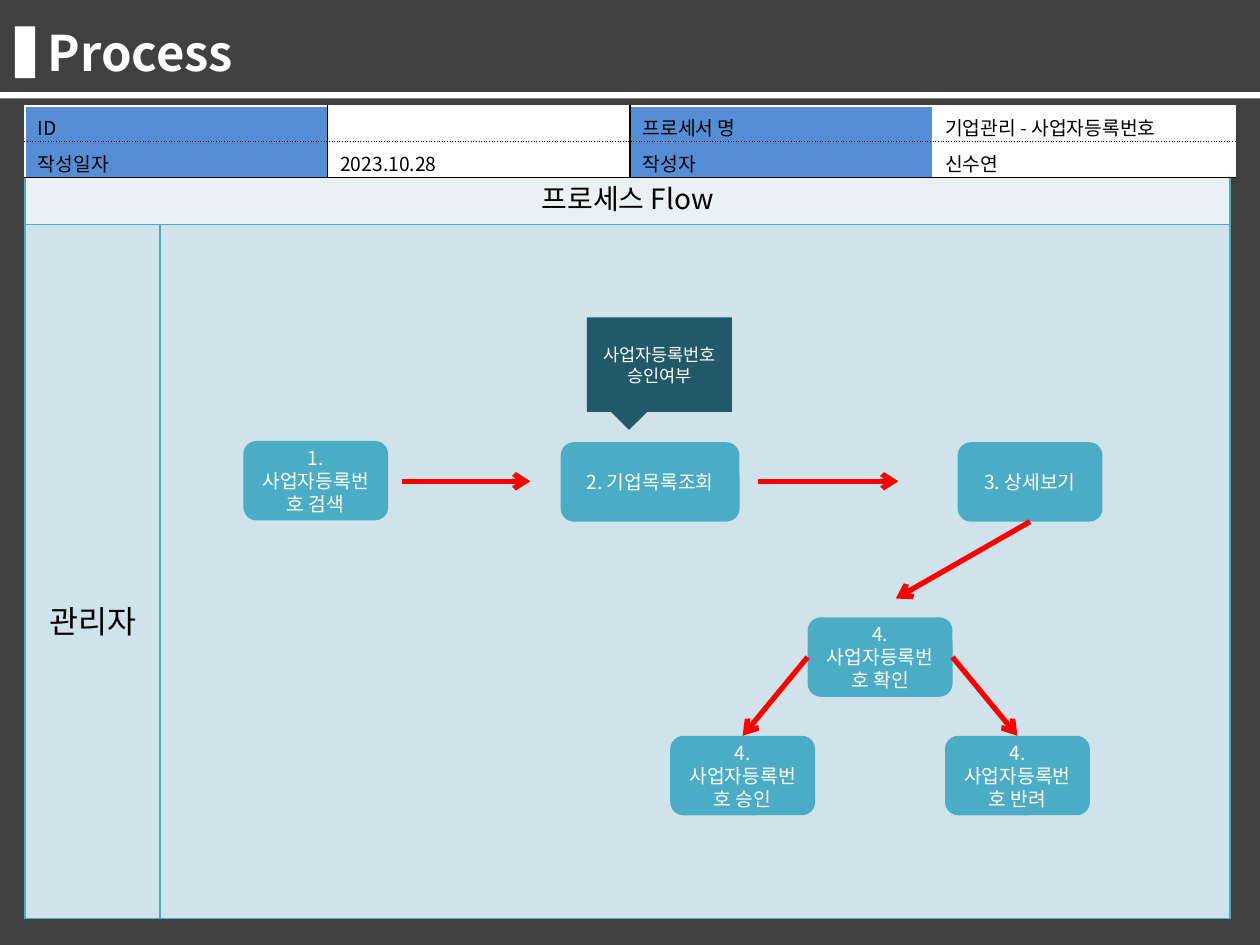
"""Build the business number process slide."""
from dataclasses import dataclass

import pptx
import pptx.dml.color
import pptx.enum.shapes
import pptx.enum.text
import pptx.oxml
import pptx.oxml.ns
import pptx.util
from lxml import etree

Pt = pptx.util.Pt
RGB = pptx.dml.color.RGBColor.from_string
qn = pptx.oxml.ns.qn
Shape = pptx.enum.shapes.MSO_SHAPE
Align = pptx.enum.text.PP_ALIGN
Anchor = pptx.enum.text.MSO_ANCHOR


@dataclass(frozen=True)
class Theme:
    font: str = "Noto Sans CJK KR"
    dark: str = "404040"
    white: str = "FFFFFF"
    black: str = "000000"
    teal: str = "4BACC6"
    deep: str = "215968"
    pale: str = "E9F1F5"
    light: str = "D0E3EA"
    blue: str = "558ED5"
    red: str = "FF0000"
    title: int = 28
    role: int = 18
    head: int = 16
    body: int = 11
    note: int = 10


def write(frame, text, font, size, color, bold=False, align=Align.LEFT):
    para = frame.paragraphs[0]
    para.alignment = align
    run = para.add_run()
    run.text = text
    run.font.name = font
    run.font.size = Pt(size)
    run.font.bold = bold
    run.font.color.rgb = RGB(color)
    props = run.font._element
    etree.SubElement(props, qn("a:ea"), typeface=font)


class Deck:
    def __init__(self, theme):
        self.theme = theme
        self.show = pptx.Presentation()
        self.show.slide_width, self.show.slide_height = Pt(720), Pt(540)
        self.slide = self.show.slides.add_slide(self.show.slide_layouts[5])

    def title(self, text, *box):
        shape = self.slide.shapes.title
        shape.left, shape.top, shape.width, shape.height = map(Pt, box)
        frame = shape.text_frame
        frame.auto_size = pptx.enum.text.MSO_AUTO_SIZE.NONE
        frame.vertical_anchor = Anchor.MIDDLE
        write(frame, text, self.theme.font, self.theme.title,
              self.theme.white, bold=True)
        return shape

    def block(self, fill, *box, kind=Shape.RECTANGLE, text="", size=None):
        shape = self.slide.shapes.add_shape(kind, *map(Pt, box))
        shape.shadow.inherit = False
        shape.fill.solid()
        shape.fill.fore_color.rgb = RGB(fill)
        shape.line.fill.background()
        if text:
            frame = shape.text_frame
            frame.word_wrap = True
            frame.vertical_anchor = Anchor.MIDDLE
            write(frame, text, self.theme.font, size, self.theme.white,
                  align=Align.CENTER)
        return shape

    def step(self, text, left, top, width=82.8):
        return self.block(self.theme.teal, left, top, width, 45.4,
                          kind=Shape.ROUNDED_RECTANGLE, text=text,
                          size=self.theme.body)

    def arrow(self, start=(0, 0), end=(0, 0), tail=None, head=None):
        line = self.slide.shapes.add_connector(
            pptx.enum.shapes.MSO_CONNECTOR.STRAIGHT, *map(Pt, start + end))
        if tail:
            line.begin_connect(*tail)
        if head:
            line.end_connect(*head)
        line.line.width = Pt(3)
        line.line.color.rgb = RGB(self.theme.red)
        props = line.element.spPr
        etree.SubElement(props.find(qn("a:ln")), qn("a:tailEnd"), type="arrow")
        etree.SubElement(props, qn("a:effectLst"))

    def grid(self, left, top, cols, rows):
        shape = self.slide.shapes.add_table(
            len(rows), len(cols), Pt(left), Pt(top),
            Pt(sum(cols)), Pt(sum(rows)))
        table = shape.table
        table.first_row = table.horz_banding = False
        for col, width in zip(table.columns, cols):
            col.width = Pt(width)
        for row, height in zip(table.rows, rows):
            row.height = Pt(height)
        return table

    def cell(self, cell, fill, edges, text="", size=None, align=Align.LEFT,
             above=3.6, below=3.6):
        props = cell._tc.get_or_add_tcPr()
        for side, (color, dash) in zip("LRTB", edges):
            line = etree.SubElement(props, qn("a:ln" + side),
                                    w=str(Pt(1)))
            paint = etree.SubElement(line, qn("a:solidFill"))
            etree.SubElement(paint, qn("a:srgbClr"), val=color)
            etree.SubElement(line, qn("a:prstDash"), val=dash)
        cell.fill.solid()
        cell.fill.fore_color.rgb = RGB(fill)
        cell.margin_top, cell.margin_bottom = Pt(above), Pt(below)
        if text:
            write(cell.text_frame, text, self.theme.font, size,
                  self.theme.black, align=align)
        else:
            cell.text_frame.paragraphs[0].font.size = Pt(self.theme.body)


def flow(deck):
    theme = deck.theme
    table = deck.grid(14.4, 97.9, (77, 611.6), (30.2, 396.8))
    table.cell(0, 0).merge(table.cell(0, 1))
    edges = [(theme.teal, "solid")] * 4
    for col in range(2):
        deck.cell(table.cell(0, col), theme.pale, edges,
                  "" if col else "프로세스 Flow", theme.head, Align.CENTER)
    role = table.cell(1, 0)
    deck.cell(role, theme.light, edges, "관리자", theme.role, Align.CENTER,
              above=59)
    role.vertical_anchor = Anchor.MIDDLE
    deck.cell(table.cell(1, 1), theme.light, edges)


def facts(deck):
    theme = deck.theme
    rows = (("ID", "", "프로세서 명", "기업관리 - 사업자등록번호"),
            ("작성일자", "2023.10.28", "작성자", "신수연"))
    table = deck.grid(14.4, 60.5, (172.8,) * 4, (20.5,) * 2)
    white, black = (theme.white, "solid"), (theme.black, "solid")
    dots = (theme.black, "sysDot")
    sides = (white, black, black, white, white)
    levels = (white, dots, black)
    for row, texts in enumerate(rows):
        for col, text in enumerate(texts):
            edges = sides[col:col + 2] + levels[row:row + 2]
            deck.cell(table.cell(row, col), theme.white if col % 2 else theme.blue,
                      edges, text, theme.body, above=4, below=0)


def steps(deck):
    theme = deck.theme
    deck.step("1. 사업자등록번호 검색", 139, 252)
    note = deck.block(theme.deep, 335.4, 181.4, 82.8, 54,
                      kind=Shape.RECTANGULAR_CALLOUT,
                      text="사업자등록번호 승인여부", size=theme.note)
    note.adjustments[0], note.adjustments[1] = -0.21, 0.69
    deck.step("2. 기업목록조회", 320.4, 252.7, 102.2)
    view = deck.step("3. 상세보기", 547.2, 252.7)
    passed = deck.step("4. 사업자등록번호 승인", 383, 420.5)
    failed = deck.step("4. 사업자등록번호 반려", 540, 420.5)
    check = deck.step("4. 사업자등록번호 확인", 461.5, 352.8)
    deck.arrow((229.7, 275), (303.1, 275))
    deck.arrow((433.4, 275), (513.4, 275))
    deck.arrow(end=(511.9, 342), tail=(view, 2))
    deck.arrow(tail=(check, 1), head=(passed, 0))
    deck.arrow(tail=(check, 3), head=(failed, 0))


def main():
    theme = Theme()
    deck = Deck(theme)
    title = deck.title("Process", 20.2, 9.4, 646.6, 41)
    back = deck.block(theme.dark, 0, 0, 720, 540)
    title.element.addprevious(back.element)
    deck.block(theme.white, 8.6, 15.1, 11.5, 29.5)
    deck.block(theme.white, 0, 52.6, 720, 3.6)
    flow(deck)
    facts(deck)
    steps(deck)
    deck.show.save("out.pptx")


if __name__ == "__main__":
    main()
